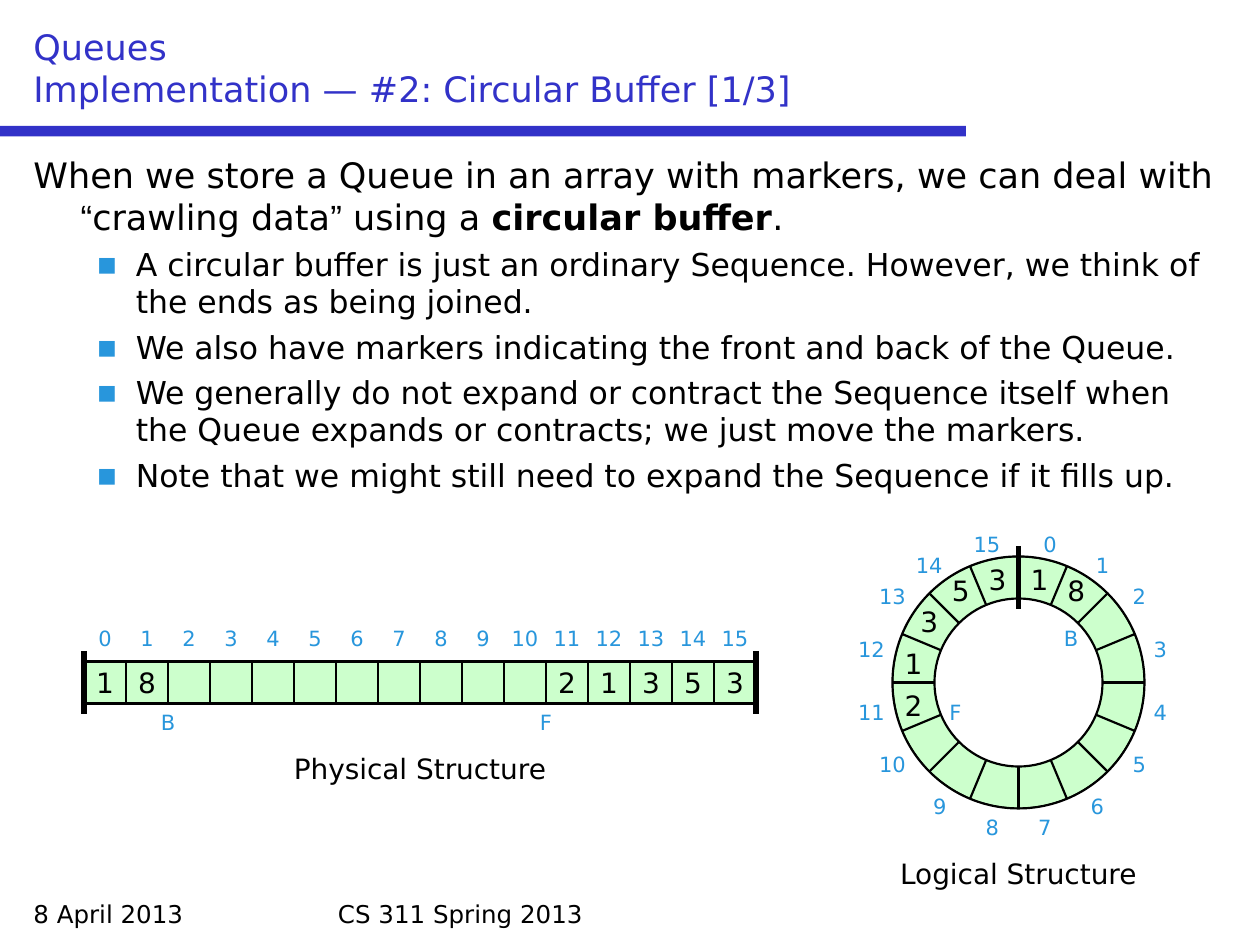
from lxml.etree import SubElement
from pptx import Presentation
from pptx.dml.color import RGBColor
from pptx.enum.shapes import MSO_CONNECTOR, MSO_SHAPE
from pptx.enum.text import MSO_ANCHOR, PP_ALIGN
from pptx.oxml.ns import qn
from pptx.util import Pt

PX = 9525
FONT = "DejaVu Sans"
COLORS = {"title": "3232C8", "ink": "000000", "accent": "2896DC",
          "cell": "CCFFCC", "paper": "FFFFFF"}

TITLE = ["Queues", "Implementation — #2: Circular Buffer [1/3]"]
INTRO = [("When we store a Queue in an array with markers, we can deal with ", FONT, False),
         ("“", "Arial", False), ("crawling data", FONT, False), ("”", "Arial", False),
         (" using a ", FONT, False), ("circular buffer", FONT, True), (".", FONT, False)]
POINTS = [
    "A circular buffer is just an ordinary Sequence. However, we think of the ends as being joined.",
    "We also have markers indicating the front and back of the Queue.",
    "We generally do not expand or contract the Sequence itself when the Queue expands or contracts; "
    "we just move the markers.",
    "Note that we might still need to expand the Sequence if it fills up.",
]
FOOTERS = [("8 April 2013", 16, 224), ("CS 311 Spring 2013", 248, 464)]
QUEUE = {0: "1", 1: "8", 11: "2", 12: "1", 13: "3", 14: "5", 15: "3"}
SLOTS = 16
CELL = 32
ROW_LEFT, ROW_TOP = 64, 504
ROW_MARKERS = {"F": 11, "B": 2}

CENTER_X, CENTER_Y = 776, 520
RING_RADIUS, HOLE_RADIUS, MASK_RADIUS = 96, 64, 112
QUARTER_SPOKES = [(0, -104), (40, -96), (72, -72), (96, -40)]
RING_INDEXES = [
    (784, 400, 32), (824, 416, 32), (848, 440, 40), (864, 480, 40),
    (864, 528, 40), (848, 568, 40), (816, 600, 40), (776, 616, 40),
    (736, 616, 40), (696, 600, 40), (656, 568, 48), (640, 528, 48),
    (640, 480, 48), (656, 440, 48), (680, 416, 56), (728, 400, 48),
]
RING_VALUES = {0: (768, 424, 48), 1: (800, 432, 40), 11: (672, 520, 48), 12: (672, 488, 48),
               13: (688, 456, 40), 14: (712, 432, 40), 15: (736, 424, 48)}
RING_MARKERS = {"F": (712, 528, 32), "B": (800, 472, 32)}
CAPTIONS = [("Physical Structure", 208, 568), ("Logical Structure", 664, 648)]

deck = Presentation()
deck.slide_width, deck.slide_height = 960 * PX, 720 * PX
slide = deck.slides.add_slide(deck.slide_layouts[6])


def rgb(color):
    return RGBColor.from_string(COLORS[color])


def add_run(paragraph, words, size, color="ink", font=FONT, bold=False):
    run = paragraph.add_run()
    run.text = words
    run.font.size = Pt(size)
    run.font.name = font
    run.font.bold = bold
    run.font.color.rgb = rgb(color)


def add_frame(left, top, width, height):
    frame = slide.shapes.add_textbox(left * PX, top * PX, width * PX, height * PX).text_frame
    frame.word_wrap = True
    return frame


def add_label(words, left, top, width, size=12, color="accent"):
    paragraph = add_frame(left, top, width, 29 if size == 12 else 36).paragraphs[0]
    paragraph.alignment = PP_ALIGN.CENTER
    add_run(paragraph, words, size, color)


def add_figure(kind, left, top, width, height, fill=None, line=1.25):
    figure = slide.shapes.add_shape(kind, left * PX, top * PX, width * PX, height * PX)
    figure.shadow.inherit = False
    if fill:
        figure.fill.solid()
        figure.fill.fore_color.rgb = rgb(fill)
    else:
        figure.fill.background()
    if line:
        figure.line.color.rgb = rgb("ink")
        figure.line.width = Pt(line)
    else:
        figure.line.fill.background()
    return figure


def add_round(kind, radius, fill=None, line=1.25):
    return add_figure(kind, CENTER_X - radius, CENTER_Y - radius, 2 * radius, 2 * radius, fill, line)


def add_line(x1, y1, x2, y2, width):
    line = slide.shapes.add_connector(MSO_CONNECTOR.STRAIGHT, x1 * PX, y1 * PX, x2 * PX, y2 * PX)
    line.line.color.rgb = rgb("ink")
    line.line.width = Pt(width)
    SubElement(line._element.spPr, qn("a:effectLst"))


def indent(paragraph, margin, hanging):
    properties = paragraph._p.get_or_add_pPr()
    properties.set("marL", str(margin * PX))
    properties.set("indent", str(-hanging * PX))
    return properties


def add_header_and_text():
    add_figure(MSO_SHAPE.RECTANGLE, 0, 96, 736, 8, "title", None)
    for words, left, width in FOOTERS:
        add_run(add_frame(left, 680, width, 32).paragraphs[0], words, 14)

    heading = add_frame(16, 16, 928, 72)
    heading.vertical_anchor = MSO_ANCHOR.BOTTOM
    for number, words in enumerate(TITLE):
        if number:
            heading.paragraphs[0].add_line_break()
        add_run(heading.paragraphs[0], words, 20, "title")

    body = add_frame(16, 112, 928, 560)
    intro = body.paragraphs[0]
    indent(intro, 36, 36)
    for words, font, bold in INTRO:
        add_run(intro, words, 20, font=font, bold=bold)
    for words in POINTS:
        point = body.add_paragraph()
        properties = indent(point, 78, 30)
        bullet_color = SubElement(properties, qn("a:buClr"))
        SubElement(bullet_color, qn("a:srgbClr"), val=COLORS["accent"])
        SubElement(properties, qn("a:buFont"), typeface=FONT)
        SubElement(properties, qn("a:buChar"), char="▪")
        point.space_before = Pt(4.2)
        add_run(point, words, 18)


def add_physical_structure():
    for index in range(SLOTS):
        left = ROW_LEFT + index * CELL
        cell = add_figure(MSO_SHAPE.RECTANGLE, left, ROW_TOP, CELL, CELL, "cell")
        if index in QUEUE:
            frame = cell.text_frame
            frame.word_wrap = False
            frame.vertical_anchor = MSO_ANCHOR.MIDDLE
            frame.paragraphs[0].alignment = PP_ALIGN.CENTER
            add_run(frame.paragraphs[0], QUEUE[index], 16)
        spread = 8 if index > 9 else 0
        add_label(str(index), left - spread, ROW_TOP - 32, CELL + 2 * spread)
    for end in (ROW_LEFT, ROW_LEFT + SLOTS * CELL):
        add_line(end, ROW_TOP - 8, end, ROW_TOP + CELL + 8, 3)
    for marker, index in ROW_MARKERS.items():
        add_label(marker, ROW_LEFT + index * CELL - CELL // 2, ROW_TOP + CELL, CELL)


def add_logical_structure():
    add_round(MSO_SHAPE.OVAL, RING_RADIUS, "cell", 1)
    for dx, dy in QUARTER_SPOKES:
        for _ in range(4):
            add_line(CENTER_X, CENTER_Y, CENTER_X + dx, CENTER_Y + dy, 1.25)
            dx, dy = -dy, dx
    add_round(MSO_SHAPE.OVAL, HOLE_RADIUS, "paper")
    mask = add_round(MSO_SHAPE.DONUT, MASK_RADIUS, "paper", None)
    mask.adjustments[0] = (MASK_RADIUS - RING_RADIUS) / (2 * MASK_RADIUS)
    for index, place in enumerate(RING_INDEXES):
        add_label(str(index), *place)
    for marker, place in RING_MARKERS.items():
        add_label(marker, *place)
    for index, place in RING_VALUES.items():
        add_label(QUEUE[index], *place, size=16, color="ink")
    add_round(MSO_SHAPE.OVAL, RING_RADIUS)
    add_line(CENTER_X, CENTER_Y - 56, CENTER_X, CENTER_Y - 104, 3)


add_header_and_text()
add_physical_structure()
add_logical_structure()
for caption, left, top in CAPTIONS:
    add_label(caption, left, top, 224, size=16, color="ink")
deck.save("out.pptx")
